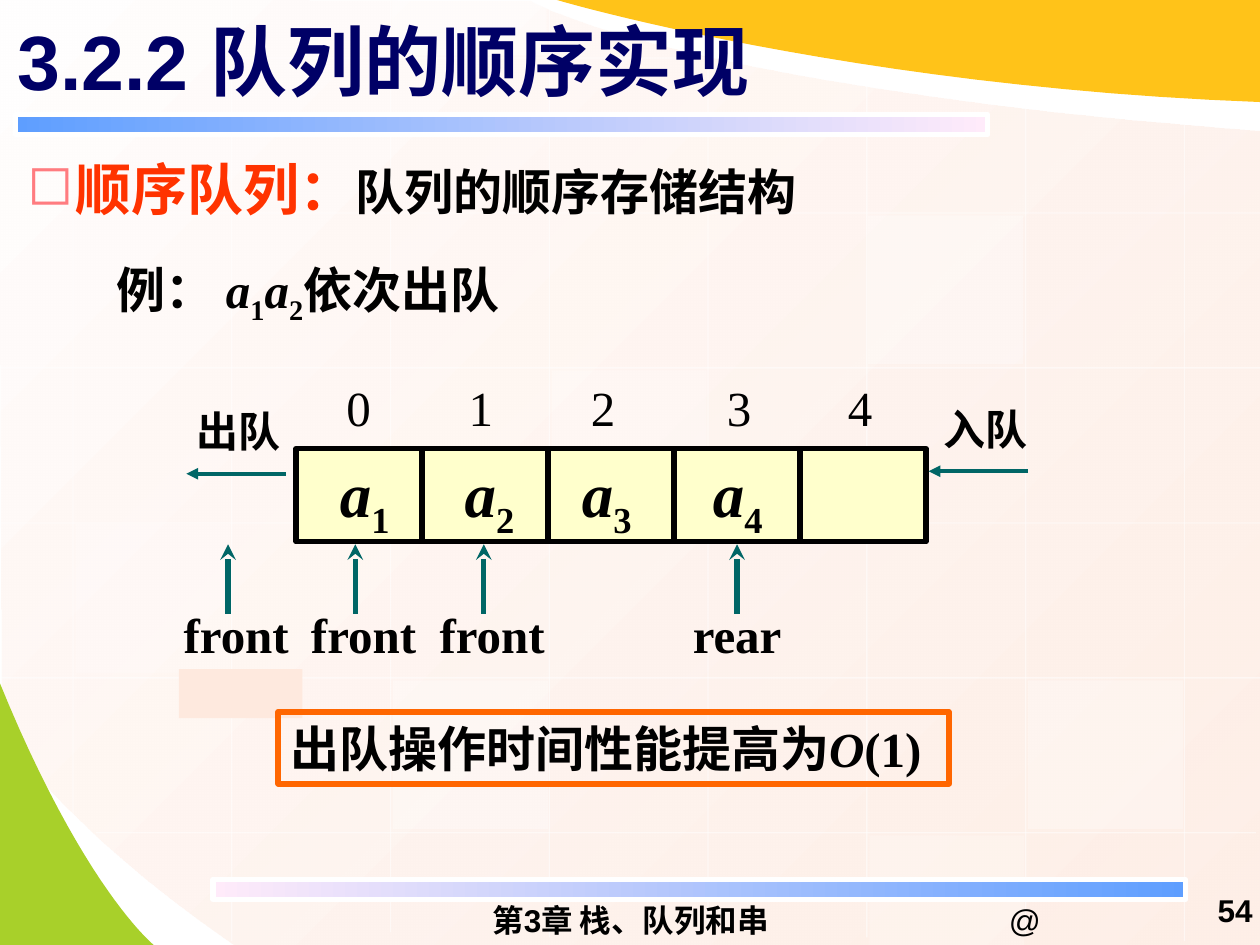
from pptx import Presentation
from pptx.dml.color import RGBColor
from pptx.enum.shapes import MSO_CONNECTOR, MSO_SHAPE
from pptx.enum.text import MSO_ANCHOR, PP_ALIGN
from pptx.oxml.ns import qn
from pptx.util import Inches, Pt
from lxml.etree import SubElement

BLACK = "000000"
WHITE = "FFFFFF"
TEAL = "006666"
PEACH = "FEE9DE"
BAR_COLORS = ("5E9EFF", "FFEBFA")
SERIF = "Times New Roman"
SANS = "Arial"


def color(value):
    return RGBColor.from_string(value)


def set_values(target, values):
    for name, value in values.items():
        setattr(target, name, value)


def set_alpha(element, percent):
    last_color = list(element.iter(qn("a:srgbClr")))[-1]
    SubElement(last_color, qn("a:alpha"), val=str(percent * 1000))


def paint(shape, fill=None, line=None, width=0, alpha=None):
    shape.shadow.inherit = False
    if isinstance(fill, tuple):
        shape.fill.gradient()
        for stop, value in zip(shape.fill.gradient_stops, fill):
            stop.color.rgb = color(value)
    elif fill:
        shape.fill.solid()
        shape.fill.fore_color.rgb = color(fill)
    else:
        shape.fill.background()
    if alpha:
        set_alpha(shape._element.spPr, alpha)
    if line:
        shape.line.color.rgb = color(line)
        shape.line.width = Pt(width)
    else:
        shape.line.fill.background()


def add_box(slide, box, **style):
    shape = slide.shapes.add_shape(MSO_SHAPE.RECTANGLE, *map(Inches, box))
    paint(shape, **style)
    return shape


def add_bar(slide, left, top, colors):
    bar = add_box(slide, (left, top, 7.72, 0.16), fill=colors, line=WHITE, width=3)
    bar.fill.gradient_angle = 0


def curve(start, first, second, end, steps=24):
    points = []
    for step in range(1, steps + 1):
        t = step / steps
        weights = ((1 - t) ** 3, 3 * t * (1 - t) ** 2, 3 * t * t * (1 - t), t ** 3)
        points.append(tuple(
            sum(weight * point[axis] for weight, point in zip(weights, (start, first, second, end)))
            for axis in (0, 1)))
    return points


def add_outline(slide, points, **style):
    inches = [(Inches(x), Inches(y)) for x, y in points]
    builder = slide.shapes.build_freeform(*inches[0])
    builder.add_line_segments(inches[1:])
    shape = builder.convert_to_shape()
    paint(shape, **style)
    return shape


def add_line(slide, start, end, line_color, width, head=None, alpha=None):
    connector = slide.shapes.add_connector(
        MSO_CONNECTOR.STRAIGHT, *map(Inches, start + end))
    connector.line.color.rgb = color(line_color)
    connector.line.width = Pt(width)
    properties = connector._element.spPr
    if alpha:
        set_alpha(properties, alpha)
    if head:
        SubElement(properties.find(qn("a:ln")), qn("a:tailEnd"), type=head)
    SubElement(properties, qn("a:effectLst"))


def write(shape, runs, size=28, font=SERIF, ink=BLACK, bold=True,
          anchor=MSO_ANCHOR.TOP, align=PP_ALIGN.LEFT, inset=0.05):
    frame = shape.text_frame
    set_values(frame, {
        "word_wrap": True, "vertical_anchor": anchor,
        "margin_left": Inches(0.1), "margin_right": Inches(0.1),
        "margin_top": Inches(inset), "margin_bottom": Inches(inset),
    })
    paragraph = frame.paragraphs[0]
    paragraph.alignment = align
    for text, changes in runs:
        run = paragraph.add_run()
        run.text = text
        style = {"size": Pt(size), "name": font, "bold": bold, "italic": False} | changes
        set_values(run.font, style)
        run.font.color.rgb = color(ink)
    return paragraph


def add_text(slide, box, runs, **style):
    if isinstance(runs, str):
        runs = [(runs, {})]
    return write(slide.shapes.add_textbox(*map(Inches, box)), runs, **style)


def subscript(paragraph):
    for run in paragraph.runs:
        if run.text.isdigit():
            run._r.get_or_add_rPr().set("baseline", "-25000")


def add_bullet(paragraph, symbol, ink):
    properties = paragraph._p.get_or_add_pPr()
    properties.set("marL", str(Inches(0.38)))
    properties.set("indent", str(-Inches(0.38)))
    bullet_color = SubElement(properties, qn("a:buClr"))
    SubElement(bullet_color, qn("a:srgbClr"), val=ink)
    SubElement(properties, qn("a:buChar"), char=symbol)


def add_tabs(paragraph, stops):
    tabs = SubElement(paragraph._p.get_or_add_pPr(), qn("a:tabLst"))
    for stop in stops:
        SubElement(tabs, qn("a:tab"), pos=str(Inches(stop)), algn="l")


def draw_background(slide):
    panel = [(10.01, 1.04), (10.01, 7.49), (1.87, 7.5)]
    panel += curve((1.87, 7.5), (0.55, 6.6), (0.01, 5.8), (0.02, 5.8))
    panel += [(-0.01, -0.01), (4.21, 0.01)]
    panel += curve((4.21, 0.01), (4.21, 0.01), (5.37, 0.69), (10.01, 1.04))
    shape = add_outline(slide, panel, fill=("FFFEFE", PEACH), alpha=70)
    shape.fill.gradient_angle = 315
    green = [(-0.01, 5.4), (-0.01, 7.5), (1.22, 7.5)]
    green += curve((1.22, 7.5), (1.22, 7.5), (0.66, 7.05), (-0.01, 5.4))
    add_outline(slide, green, fill="A8D02A")

    columns = [(0, 6.46), (0, 7.47), (0, 7.4), (0, 7.44),
               (0.43, 7.4), (0.68, 7.44), (0.85, 7.44), (0.98, 7.47)]
    for index, (top, bottom) in enumerate(columns):
        x = 0.58 + 1.26 * index
        add_line(slide, (x, top), (x, bottom), WHITE, 0.75, alpha=50)
    rows = [(0, 5.68), (0, 10), (0, 10), (0, 10), (0, 10), (0.76, 9.97)]
    for index, (left, right) in enumerate(rows):
        y = 0.46 + 1.23 * index
        add_line(slide, (right, y), (left, y), WHITE, 0.75, alpha=50)
    tiles = [(4.38, 2.94, 1.18, 25), (8.16, 5.4, 1.18, 30), (0.6, 4.16, 1.18, 20),
             (6.9, 6.63, 0.87, 20), (3.11, 0, 0.44, 40), (3.12, 5.4, 1.18, 30),
             (6.89, 1.71, 1.18, 30)]
    for left, top, height, alpha in tiles:
        add_box(slide, (left, top, 1.23, height), fill=WHITE, alpha=alpha)

    yellow = [(10, 0.81), (10, 0), (4.42, 0)]
    yellow += curve((4.42, 0), (4.42, 0), (6.74, 0.69), (10, 0.81))
    add_outline(slide, yellow, fill="FFC319")
    add_bar(slide, 0.12, 0.91, BAR_COLORS)
    add_bar(slide, 1.69, 6.98, BAR_COLORS[::-1])


def draw_footer(slide):
    style = {"size": 18, "font": SANS, "anchor": MSO_ANCHOR.MIDDLE}
    centered = style | {"align": PP_ALIGN.CENTER, "inset": 0}
    add_text(slide, (6.97, 7.15, 2.33, 0.3), "@", **centered | {"bold": False})
    add_text(slide, (3.42, 7.15, 3.17, 0.3), "第3章 栈、队列和串", **centered)
    add_text(slide, (9.38, 6.98, 0.66, 0.49), "54", **style, align=PP_ALIGN.RIGHT)


def draw_queue(slide):
    for index in range(5):
        add_box(slide, (2.35 + index, 3.56, 1, 0.74), fill="FFFFCC", line=BLACK, width=3)
    indices = add_text(slide, (2.65, 2.95, 4.68, 0.57), "0\t1\t2\t3\t4", bold=False)
    add_tabs(indices, (0.97, 1.94, 3.02, 3.98))
    for number, left in enumerate((2.6, 3.59, 4.52, 5.56), 1):
        subscript(add_text(slide, (left, 3.56, 0.64, 0.79),
                           [("a", {"italic": True}), (str(number), {})], size=36))
    for text, left, top, arrow_left, y in (("入队", 7.39, 3.15, 7.37, 3.74),
                                           ("出队", 1.46, 3.17, 1.48, 3.76)):
        add_line(slide, (arrow_left + 0.79, y), (arrow_left, y), TEAL, 2.25, "triangle")
        add_text(slide, (left, top, 1.08, 0.5), text, size=24)
    add_box(slide, (1.42, 5.31, 0.98, 0.39), fill=PEACH)
    for text, x in (("front", 1.81), ("front", 2.82), ("front", 3.84), ("rear", 5.85)):
        add_line(slide, (x, 4.87), (x, 4.32), TEAL, 3, "stealth")
        add_text(slide, (x - 0.45, 4.75, 1.13, 0.57), text)


def main():
    presentation = Presentation()
    set_values(presentation, {"slide_width": Inches(10), "slide_height": Inches(7.5)})
    slide = presentation.slides.add_slide(presentation.slide_layouts[6])
    draw_background(slide)
    add_text(slide, (0.04, -0.03, 9, 1.01), "3.2.2 队列的顺序实现", size=44,
             font=SANS, ink="000066", anchor=MSO_ANCHOR.MIDDLE)
    topic = add_text(slide, (0.12, 1.07, 9.69, 5.75),
                     [("顺序队列：", {"size": Pt(32)}), ("队列的顺序存储结构", {})])
    topic.line_spacing = 1.2
    add_bullet(topic, "◻", "FF7C80")
    topic.runs[0].font.color.rgb = color("FF3300")
    italic = {"italic": True}
    subscript(add_text(slide, (0.83, 2.01, 3.69, 0.63), [
        ("例： ", {}), ("a", italic), ("1", {}), ("a", italic), ("2", {}), ("依次出队", {})]))
    draw_queue(slide)
    conclusion = add_box(slide, (2.21, 5.65, 5.32, 0.57), line="FF6600", width=3.5)
    write(conclusion, [("出队操作时间性能提高为", {}), ("O", italic), ("(1)", {})])
    draw_footer(slide)
    presentation.save("out.pptx")


if __name__ == "__main__":
    main()
